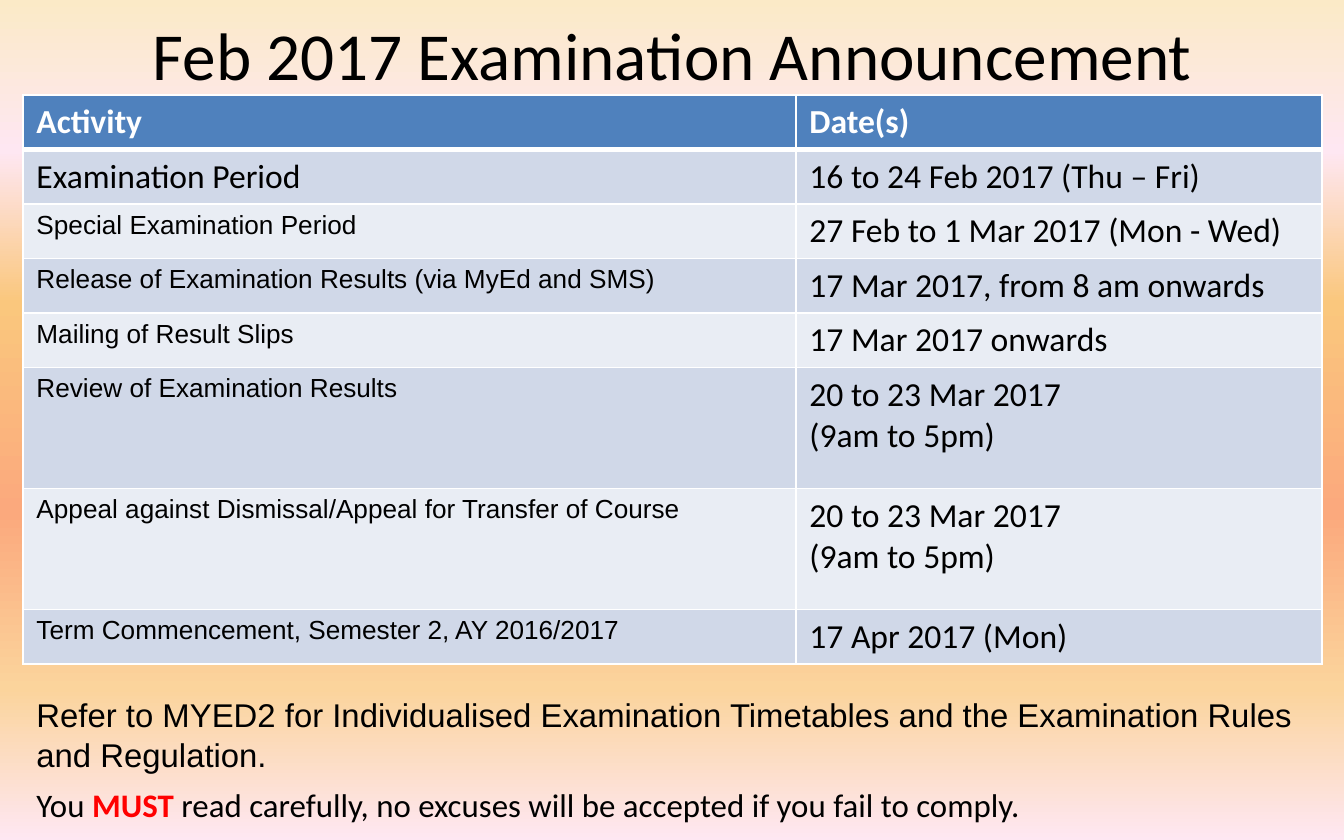
from dataclasses import dataclass

from lxml import etree
from pptx import Presentation
from pptx.dml.color import RGBColor
from pptx.enum.text import MSO_ANCHOR, PP_ALIGN
from pptx.oxml.ns import qn
from pptx.util import Pt

MIDDLE = MSO_ANCHOR.MIDDLE
CENTER, LEFT = PP_ALIGN.CENTER, PP_ALIGN.LEFT
EMU_PER_PX = 914400 / 134.4


@dataclass
class Theme:
    heading_font: str = "Calibri"
    plain_font: str = "Arial"
    title_size: float = 36
    table_size: float = 18
    activity_size: float = 14
    notice_size: float = 17.6
    text: str = "000000"
    white: str = "FFFFFF"
    alert: str = "FF0000"
    header: str = "4F81BD"
    bands: tuple = ("D0D8E8", "E9EDF4")
    backdrop: tuple = ((0, "FBEAC7"), (18, "FEE7F2"), (36, "FAC77D"),
                       (61, "FBA97D"), (82, "FBD49C"), (100, "FEE7F2"))


theme = Theme()


def px(length):
    return round(length * EMU_PER_PX)


def write(paragraph, text, size=theme.table_size, font=theme.heading_font,
          color=theme.text, bold=False):
    for index, line in enumerate(text.split("\n")):
        if index:
            paragraph.add_line_break()
        run = paragraph.add_run()
        run.text = line
        run.font.size = Pt(size)
        run.font.name = font
        run.font.bold = bold
        run.font.color.rgb = RGBColor.from_string(color)


prs = Presentation()
prs.slide_width, prs.slide_height = px(1344), px(840)
slide = prs.slides.add_slide(prs.slide_layouts[1])
title, notice = slide.placeholders

# Background gradient, top to bottom
backdrop = slide.background.fill
backdrop.gradient()
backdrop.gradient_angle = 270
stops = slide.element.find(".//" + qn("a:gsLst"))
for stop in list(stops):
    stops.remove(stop)
for position, color in theme.backdrop:
    stop = etree.SubElement(stops, qn("a:gs"), pos=str(position * 1000))
    etree.SubElement(stop, qn("a:srgbClr"), val=color)

# Title
title.left, title.top, title.width, title.height = px(23), px(13), px(1299), px(82)
title.text_frame.vertical_anchor = MIDDLE
heading = title.text_frame.paragraphs[0]
heading.alignment = CENTER
write(heading, "Feb 2017 Examination Announcement", size=theme.title_size)

# Schedule table
schedule = [
    ("Activity", "Date(s)"),
    ("Examination Period", "16 to\u00a024\u00a0Feb 2017 (Thu – Fri)"),
    ("Special Examination Period", "27 Feb to\u00a01 Mar 2017 (Mon - Wed)"),
    ("Release of Examination Results (via MyEd and SMS)",
     "17\u00a0Mar 2017, from 8 am onwards"),
    ("Mailing of Result Slips", "17 Mar\u00a02017 onwards"),
    ("Review of Examination Results", "20 to 23 Mar 2017\n(9am to 5pm)"),
    ("Appeal against Dismissal/Appeal for Transfer of Course",
     "20 to 23 Mar 2017\n(9am to 5pm)"),
    ("Term Commencement, Semester 2, AY 2016/2017", "17\u00a0Apr 2017 (Mon)"),
]
row_heights = [121 if "\n" in dates else 54 for _, dates in schedule]
table = slide.shapes.add_table(len(schedule), 2, px(23), px(95), px(1299),
                               px(sum(row_heights))).table
table.columns[0].width, table.columns[1].width = px(773), px(526)

for r, entry in enumerate(schedule):
    table.rows[r].height = px(row_heights[r])
    is_header = r == 0
    for c, text in enumerate(entry):
        cell = table.cell(r, c)
        small = c == 0 and r > 1
        write(cell.text_frame.paragraphs[0], text,
              size=theme.activity_size if small else theme.table_size,
              font=theme.plain_font if small else theme.heading_font,
              color=theme.white if is_header else theme.text, bold=is_header)

        # Borders come before the fill in the cell properties
        properties = cell._tc.get_or_add_tcPr()
        for side in ("lnL", "lnR", "lnT", "lnB"):
            thick = (r, side) in ((0, "lnB"), (1, "lnT"))
            border = etree.SubElement(properties, qn("a:" + side),
                                      w=str(Pt(3 if thick else 1)))
            paint = etree.SubElement(border, qn("a:solidFill"))
            etree.SubElement(paint, qn("a:srgbClr"), val=theme.white)
        cell.fill.solid()
        cell.fill.fore_color.rgb = RGBColor.from_string(
            theme.header if is_header else theme.bands[(r - 1) % 2])

# Notice below the table
notice.left, notice.top, notice.width, notice.height = px(23), px(690), px(1321), px(139)
notice.text_frame.vertical_anchor = MIDDLE
reference = notice.text_frame.paragraphs[0]
warning = notice.text_frame.add_paragraph()
for paragraph, space in ((reference, 0), (warning, 6)):
    paragraph.alignment = LEFT
    paragraph.space_before = Pt(space)
    properties = paragraph._p.get_or_add_pPr()
    properties.set("marL", "0")
    properties.set("indent", "0")
    etree.SubElement(properties, qn("a:buNone"))
write(reference, "Refer to MYED2 for Individualised Examination Timetables "
      "and the Examination Rules and Regulation.",
      size=theme.notice_size, font=theme.plain_font)
write(warning, "You ", size=theme.notice_size)
write(warning, "MUST ", size=theme.notice_size, color=theme.alert, bold=True)
write(warning, "read carefully, no excuses will be accepted if you fail to comply.",
      size=theme.notice_size)

prs.save("out.pptx")
